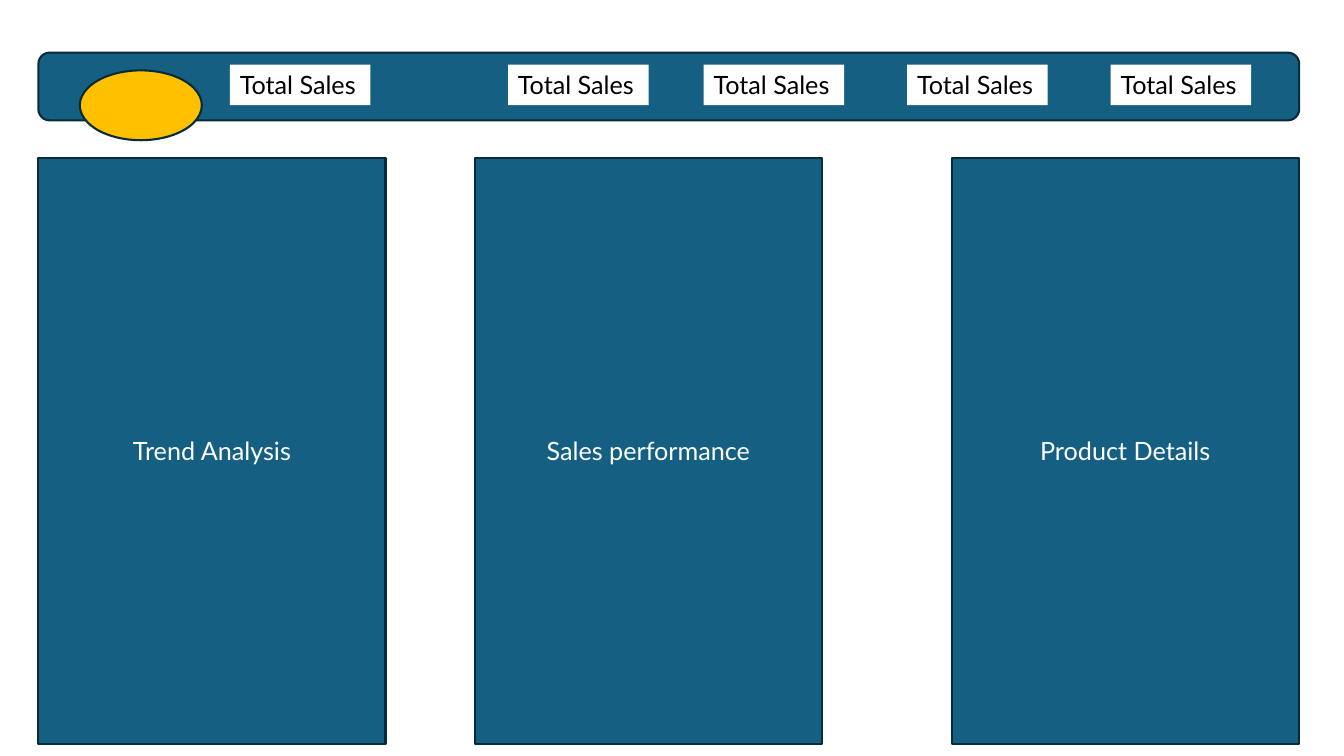
from dataclasses import dataclass

from pptx import Presentation
from pptx.dml.color import RGBColor
from pptx.enum import shapes, text
from pptx.util import Pt


@dataclass(frozen=True)
class Theme:
    """Colours, font and sizes of the dashboard."""
    panel: RGBColor = RGBColor(0x15, 0x60, 0x82)
    outline: RGBColor = RGBColor(0x09, 0x2A, 0x39)
    accent: RGBColor = RGBColor(0xFF, 0xC0, 0x00)
    white: RGBColor = RGBColor(0xFF, 0xFF, 0xFF)
    black: RGBColor = RGBColor(0x00, 0x00, 0x00)
    font: str = "Lato"
    text_size: float = 18
    line_width: float = 1.5


THEME = Theme()
KIND = shapes.MSO_SHAPE
MARGIN = 27.4
KPI_LEFTS = (164.2, 362.9, 502.6, 648, 793.4)
SECTIONS = (
    ("Trend Analysis", MARGIN),
    ("Sales performance", 339.1),
    ("Product Details", 679.7),
)


def write(frame, wording, color, align):
    """Put one formatted run into a text frame."""
    frame.word_wrap = True
    paragraph = frame.paragraphs[0]
    paragraph.alignment = align
    run = paragraph.add_run()
    run.text = wording
    run.font.name = THEME.font
    run.font.size = Pt(THEME.text_size)
    run.font.color.rgb = color


def add_block(slide, kind, box, fill):
    """Draw an outlined shape filled with one colour."""
    block = slide.shapes.add_shape(kind, *map(Pt, box))
    block.shadow.inherit = False
    block.fill.solid()
    block.fill.fore_color.rgb = fill
    block.line.color.rgb = THEME.outline
    block.line.width = Pt(THEME.line_width)
    return block


def add_kpi(slide, wording, left):
    """Place a white indicator label on the header bar."""
    kpi = slide.shapes.add_textbox(Pt(left), Pt(46.1), Pt(100.4), Pt(29.1))
    kpi.fill.solid()
    kpi.fill.fore_color.rgb = THEME.white
    kpi.text_frame.auto_size = text.MSO_AUTO_SIZE.SHAPE_TO_FIT_TEXT
    write(kpi.text_frame, wording, THEME.black, text.PP_ALIGN.LEFT)


def add_section(slide, heading, left):
    """Draw a tall panel with its heading in the middle."""
    section = add_block(slide, KIND.RECTANGLE, (left, 112.9, 248, 418.3), THEME.panel)
    section.text_frame.vertical_anchor = text.MSO_ANCHOR.MIDDLE
    write(section.text_frame, heading, THEME.white, text.PP_ALIGN.CENTER)


def main():
    """Build the dashboard slide and save it."""
    deck = Presentation()
    deck.slide_width, deck.slide_height = Pt(960), Pt(540)
    slide = deck.slides.add_slide(deck.slide_layouts[6])

    add_block(slide, KIND.ROUNDED_RECTANGLE, (MARGIN, 37.6, 900.6, 48.4), THEME.panel)
    for left in KPI_LEFTS:
        add_kpi(slide, "Total Sales", left)
    add_block(slide, KIND.OVAL, (57, 50.3, 87.2, 49.9), THEME.accent)
    for heading, left in SECTIONS:
        add_section(slide, heading, left)

    deck.save("out.pptx")


if __name__ == "__main__":
    main()
